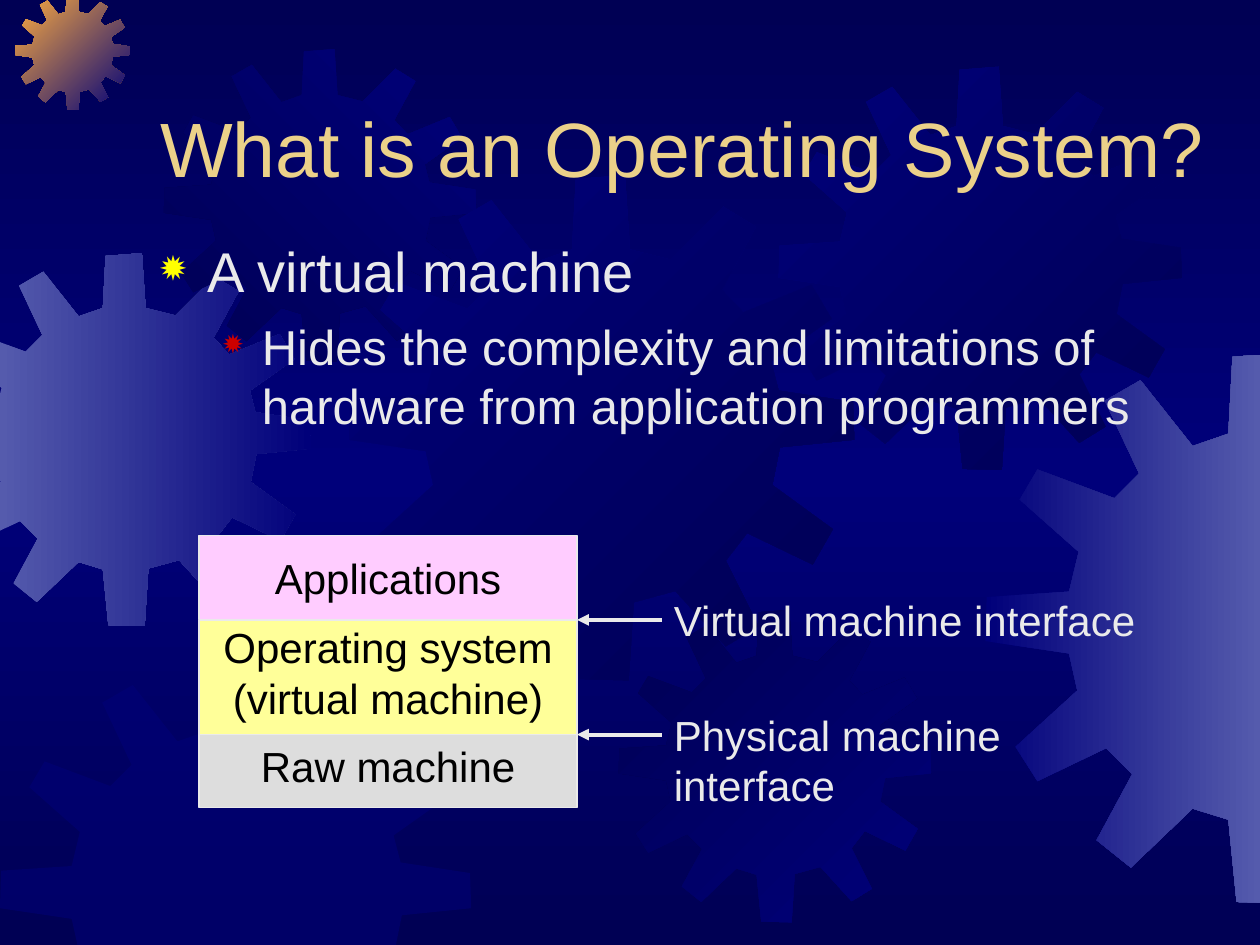
"""Builds a slide on the operating system as a virtual machine, over a backdrop of gears."""
from copy import deepcopy

from lxml import etree
from pptx import Presentation
from pptx import util as u
from pptx.dml.color import RGBColor
from pptx.enum import shapes, text
from pptx.oxml.ns import qn

NAVY = RGBColor(0x00, 0x00, 0x54)
BLUE = RGBColor(0x00, 0x00, 0x7A)
LAVENDER = RGBColor(0x55, 0x5B, 0xAD)
ORANGE = RGBColor(0xFC, 0xAB, 0x40)
GOLD = RGBColor(0xEB, 0xD1, 0x89)
PALE = RGBColor(0xEA, 0xEA, 0xEA)
BLACK = RGBColor(0x00, 0x00, 0x00)
PINK = RGBColor(0xFF, 0xCC, 0xFF)
CREAM = RGBColor(0xFF, 0xFF, 0x99)
GREY = RGBColor(0xDD, 0xDD, 0xDD)
YELLOW = RGBColor(0xFF, 0xFF, 0x00)
RED = RGBColor(0xCC, 0x00, 0x00)

WIDTH, HEIGHT = 10, 7.5
GEAR_SIZE = 401
GEAR_OUTLINE = [
    (255, 67), (223, 59), (219, 0), (180, 3), (177, 59), (151, 68), (113, 20), (87, 35),
    (112, 88), (94, 106), (38, 85), (25, 107), (68, 145), (61, 174), (1, 178), (0, 210),
    (61, 219), (67, 246), (22, 287), (38, 312), (88, 288), (107, 307), (81, 355), (106, 375),
    (151, 332), (177, 340), (183, 400), (222, 401), (226, 339), (259, 330), (299, 374), (325, 358),
    (299, 306), (316, 284), (368, 309), (384, 281), (336, 246), (342, 216), (401, 210), (400, 180),
    (341, 171), (335, 148), (383, 114), (367, 87), (313, 109), (296, 91), (323, 41), (297, 25),
]
GEARS = [
    (-0.49, 2.01, 2.96, LAVENDER, BLUE, 0),
    (0.12, -0.04, 0.91, ORANGE, BLUE, 315),
    (1.3, 0.39, 2.48, NAVY, BLUE, 45),
    (2.77, 1.39, 4.01, BLUE, NAVY, 315),
    (0, 5.25, 3.74, BLUE, None, 0),
    (4.91, 4.84, 2.48, NAVY, BLUE, 315),
    (6.18, 0.53, 3.2, BLUE, NAVY, 315),
    (7.82, 2.8, 4.37, BLUE, LAVENDER, 0),
]
SLIDE_EDGES = [(0, 0, 1), (0, WIDTH, -1), (1, 0, 1), (1, HEIGHT, -1)]


def clip(points, axis, limit, side):
    """Keeps the part of a polygon on the inner side of one slide edge."""
    kept = []
    for start, end in zip(points, points[1:] + points[:1]):
        before, after = (start[axis] - limit) * side, (end[axis] - limit) * side
        if before >= 0:
            kept.append(start)
        if before * after < 0:
            share = before / (before - after)
            kept.append(tuple(a + (b - a) * share for a, b in zip(start, end)))
    return kept


def style(frame, size, color):
    """Gives all runs of a text frame one font."""
    for paragraph in frame.paragraphs:
        for run in paragraph.runs:
            run.font.name = "Arial"
            run.font.size = u.Pt(size)
            run.font.color.rgb = color


presentation = Presentation()
presentation.slide_width, presentation.slide_height = u.Inches(WIDTH), u.Inches(HEIGHT)
slide = presentation.slides.add_slide(presentation.slide_layouts[5])

backdrop = slide.background.fill
backdrop.gradient()
backdrop.gradient_angle = 270
stop_list = slide.element.find(".//" + qn("a:gsLst"))
stop_list.append(deepcopy(stop_list[-1]))
for stop, position, color in zip(backdrop.gradient_stops, (0, 0.5, 1), (NAVY, BLUE, NAVY)):
    stop.position = position
    stop.color.rgb = color

for left, top, size, first, last, angle in GEARS:
    scale = size / GEAR_SIZE
    points = [(left + x * scale, top + y * scale) for x, y in GEAR_OUTLINE]
    for axis, limit, side in SLIDE_EDGES:
        points = clip(points, axis, limit, side)
    corners = [(u.Inches(x), u.Inches(y)) for x, y in points]
    builder = slide.shapes.build_freeform(*corners[0])
    builder.add_line_segments(corners[1:])
    gear = builder.convert_to_shape()
    gear.shadow.inherit = False
    gear.line.fill.background()
    if last is None:
        gear.fill.solid()
        gear.fill.fore_color.rgb = first
        solid_color = gear.element.spPr.find(".//" + qn("a:srgbClr"))
        etree.SubElement(solid_color, qn("a:alpha"), val="50000")
        continue
    gear.fill.gradient()
    gear.fill.gradient_angle = angle
    for stop, position, color in zip(gear.fill.gradient_stops, (0, 1), (first, last)):
        stop.position = position
        stop.color.rgb = color

title = slide.shapes.title
slide.shapes.element.append(title.element)
title.left, title.top = u.Inches(1.17), u.Inches(0.33)
title.width, title.height = u.Inches(8.5), u.Inches(1.25)
title.text_frame.text = "What is an Operating System?"
title.text_frame.auto_size = text.MSO_AUTO_SIZE.NONE
title.text_frame.vertical_anchor = text.MSO_ANCHOR.BOTTOM
title.text_frame.paragraphs[0].alignment = text.PP_ALIGN.LEFT
style(title.text_frame, 44, GOLD)

body = slide.shapes.add_textbox(u.Inches(1.17), u.Inches(1.83), u.Inches(8.5), u.Inches(4.5))
body.text_frame.word_wrap = True
body.text_frame.text = (
    "A virtual machine\n"
    "Hides the complexity and limitations of hardware from application programmers"
)
style(body.text_frame, 32, PALE)
bullets = [(0, 32, 8, 0.38, 0.38, YELLOW, 80), (1, 28, 7, 0.81, 0.31, RED, 70)]
for paragraph, bullet in zip(body.text_frame.paragraphs, bullets):
    level, size, gap, margin, hang, color, percent = bullet
    paragraph.level = level
    paragraph.space_before = u.Pt(gap)
    paragraph.runs[0].font.size = u.Pt(size)
    properties = paragraph._p.get_or_add_pPr()
    properties.set("marL", str(u.Inches(margin)))
    properties.set("indent", str(-u.Inches(hang)))
    bullet_color = etree.SubElement(properties, qn("a:buClr"))
    etree.SubElement(bullet_color, qn("a:srgbClr"), val=str(color))
    etree.SubElement(properties, qn("a:buSzPct"), val=str(percent * 1000))
    etree.SubElement(properties, qn("a:buChar"), char="✹")

layers = [
    ("Applications", 4.25, 0.67, PINK, 0),
    ("Operating system\n(virtual machine)", 4.92, 0.92, CREAM, 0.09),
    ("Raw machine", 5.83, 0.58, GREY, 0.09),
]
for label, top, height, color, bottom_margin in layers:
    layer = slide.shapes.add_shape(
        shapes.MSO_SHAPE.RECTANGLE, u.Inches(1.58), u.Inches(top), u.Inches(3), u.Inches(height)
    )
    layer.shadow.inherit = False
    layer.fill.solid()
    layer.fill.fore_color.rgb = color
    layer.line.color.rgb = PALE
    layer.line.width = u.Pt(0.75)
    frame = layer.text_frame
    frame.text = label
    frame.margin_top, frame.margin_bottom = 0, u.Inches(bottom_margin)
    frame.vertical_anchor = text.MSO_ANCHOR.MIDDLE
    for paragraph in frame.paragraphs:
        paragraph.alignment = text.PP_ALIGN.CENTER
    style(frame, 24, BLACK)

interfaces = [("Virtual machine interface", 4.92, 3.87), ("Physical machine interface", 5.83, 4.16)]
for label, y, width in interfaces:
    arrow = slide.shapes.add_connector(
        shapes.MSO_CONNECTOR.STRAIGHT, u.Inches(5.25), u.Inches(y), u.Inches(4.58), u.Inches(y)
    )
    arrow.line.color.rgb = PALE
    arrow.line.width = u.Pt(2.25)
    etree.SubElement(arrow.line._get_or_add_ln(), qn("a:tailEnd"), type="triangle")
    etree.SubElement(arrow.element.spPr, qn("a:effectLst"))
    caption = slide.shapes.add_textbox(
        u.Inches(5.25), u.Inches(y - 0.25), u.Inches(width), u.Inches(0.5)
    )
    caption.text_frame.word_wrap = False
    caption.text_frame.text = label
    style(caption.text_frame, 24, PALE)

presentation.save("out.pptx")
